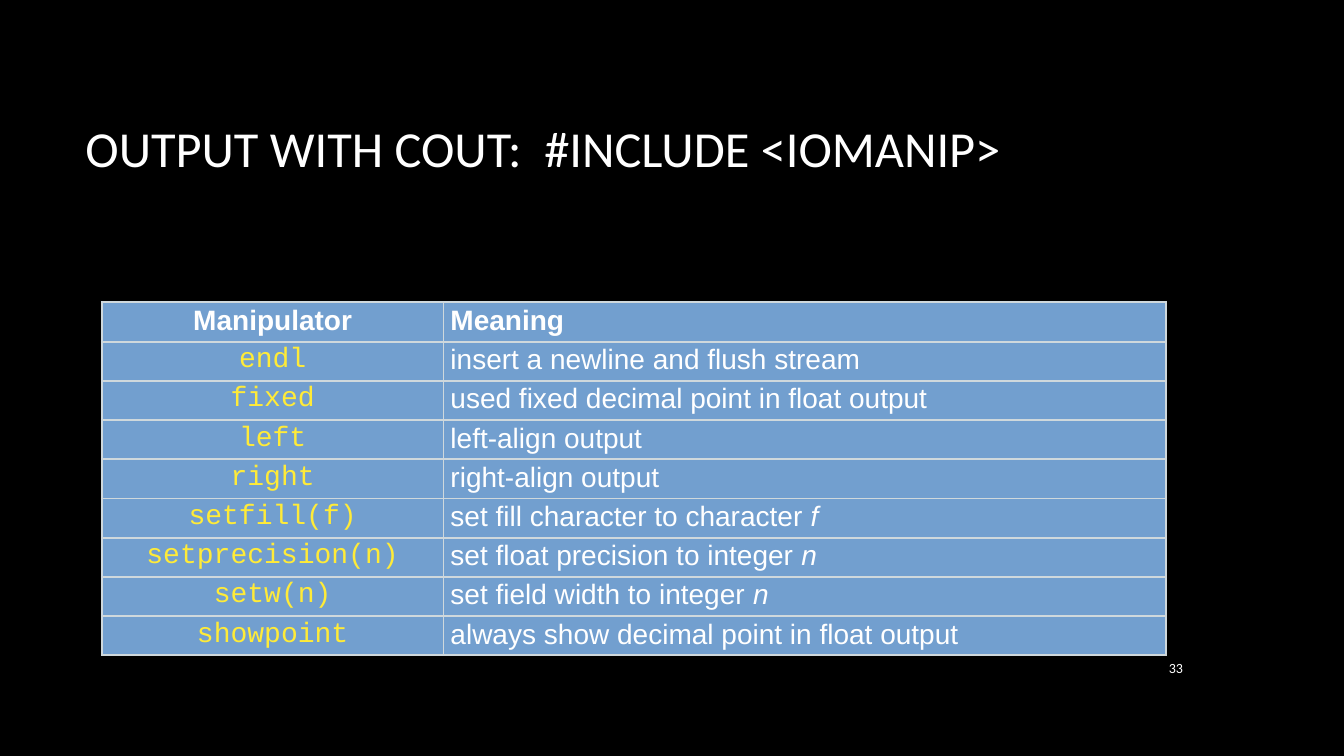
import dataclasses

import lxml.etree
import pptx
import pptx.dml.color
import pptx.enum.text
import pptx.oxml.ns
import pptx.util

Pt = pptx.util.Pt
Align = pptx.enum.text.PP_ALIGN
Anchor = pptx.enum.text.MSO_ANCHOR


@dataclasses.dataclass(frozen=True)
class Theme:
    background: str = "000000"
    text: str = "FFFFFF"
    code: str = "FFEB38"
    cell: str = "729FCF"
    border: str = "CFD8DC"
    border_width: float = 1.47
    heading_font: str = "Calibri"
    body_font: str = "Arial"
    code_font: str = "Courier New"
    title_size: int = 36
    table_size: int = 20
    number_size: int = 10


class SlideBuilder:
    def __init__(self, presentation, theme):
        self.theme = theme
        self.slide = presentation.slides.add_slide(presentation.slide_layouts[6])
        fill = self.slide.background.fill
        fill.solid()
        fill.fore_color.rgb = self.color(theme.background)

    @staticmethod
    def color(value):
        return pptx.dml.color.RGBColor.from_string(value)

    def style(self, paragraph, font, size, color, align):
        paragraph.alignment = align
        for run in paragraph.runs:
            run.font.name = font
            run.font.size = Pt(size)
            run.font.color.rgb = self.color(color)

    def text(self, content, left, top, width, height, size, align=Align.LEFT):
        box = self.slide.shapes.add_textbox(Pt(left), Pt(top), Pt(width), Pt(height))
        frame = box.text_frame
        frame.word_wrap = True
        frame.vertical_anchor = Anchor.MIDDLE
        frame.text = content
        self.style(frame.paragraphs[0], self.theme.heading_font, size, self.theme.text, align)

    def borders(self, cell):
        properties = cell._tc.get_or_add_tcPr()
        for index, side in enumerate(("a:lnL", "a:lnR", "a:lnT", "a:lnB")):
            line = lxml.etree.Element(pptx.oxml.ns.qn(side), w=str(Pt(self.theme.border_width)))
            fill = lxml.etree.SubElement(line, pptx.oxml.ns.qn("a:solidFill"))
            lxml.etree.SubElement(fill, pptx.oxml.ns.qn("a:srgbClr"), val=self.theme.border)
            properties.insert(index, line)

    def cell(self, cell, content, font, color, align, bold, variable=""):
        cell.margin_left = cell.margin_right = Pt(5)
        cell.margin_top = cell.margin_bottom = Pt(2)
        cell.fill.solid()
        cell.fill.fore_color.rgb = self.color(self.theme.cell)
        self.borders(cell)
        paragraph = cell.text_frame.paragraphs[0]
        paragraph.text = content
        if variable:
            run = paragraph.add_run()
            run.text = variable
            run.font.italic = True
        self.style(paragraph, font, self.theme.table_size, color, align)
        for run in paragraph.runs:
            run.font.bold = bold

    def table(self, rows, left, top, column_widths, row_height):
        theme = self.theme
        frame = self.slide.shapes.add_table(
            len(rows), len(column_widths), Pt(left), Pt(top),
            Pt(sum(column_widths)), Pt(row_height * len(rows)))
        table = frame.table
        table.horz_banding = False
        for column, width in zip(table.columns, column_widths):
            column.width = Pt(width)
        for index, (name, meaning, variable) in enumerate(rows):
            table.rows[index].height = Pt(row_height)
            header = index == 0
            font, color = (theme.body_font, theme.text) if header else (theme.code_font, theme.code)
            self.cell(table.cell(index, 0), name, font, color, Align.CENTER, header)
            self.cell(table.cell(index, 1), meaning, theme.body_font, theme.text,
                      Align.LEFT, header, variable)


# Header row, then each manipulator with its meaning and italic variable
MANIPULATORS = [
    ("Manipulator", "Meaning", ""),
    ("endl", "insert a newline and flush stream", ""),
    ("fixed", "used fixed decimal point in float output", ""),
    ("left", "left-align output", ""),
    ("right", "right-align output", ""),
    ("setfill(f)", "set fill character to character ", "f"),
    ("setprecision(n)", "set float precision to integer ", "n"),
    ("setw(n)", "set field width to integer ", "n"),
    ("showpoint", "always show decimal point in float output", ""),
]


def main():
    presentation = pptx.Presentation()
    presentation.slide_width = Pt(960)
    presentation.slide_height = Pt(540)
    theme = Theme()
    builder = SlideBuilder(presentation, theme)

    # Title
    builder.text("OUTPUT WITH COUT:  #INCLUDE <IOMANIP>", 54, 48, 798, 114.5, theme.title_size)

    # Manipulator table
    builder.table(MANIPULATORS, 72.8, 216, (244, 516), 27.7)

    # Slide number
    builder.text("33", 808.5, 462.5, 43.5, 29.5, theme.number_size, Align.RIGHT)

    presentation.save("out.pptx")


if __name__ == "__main__":
    main()
